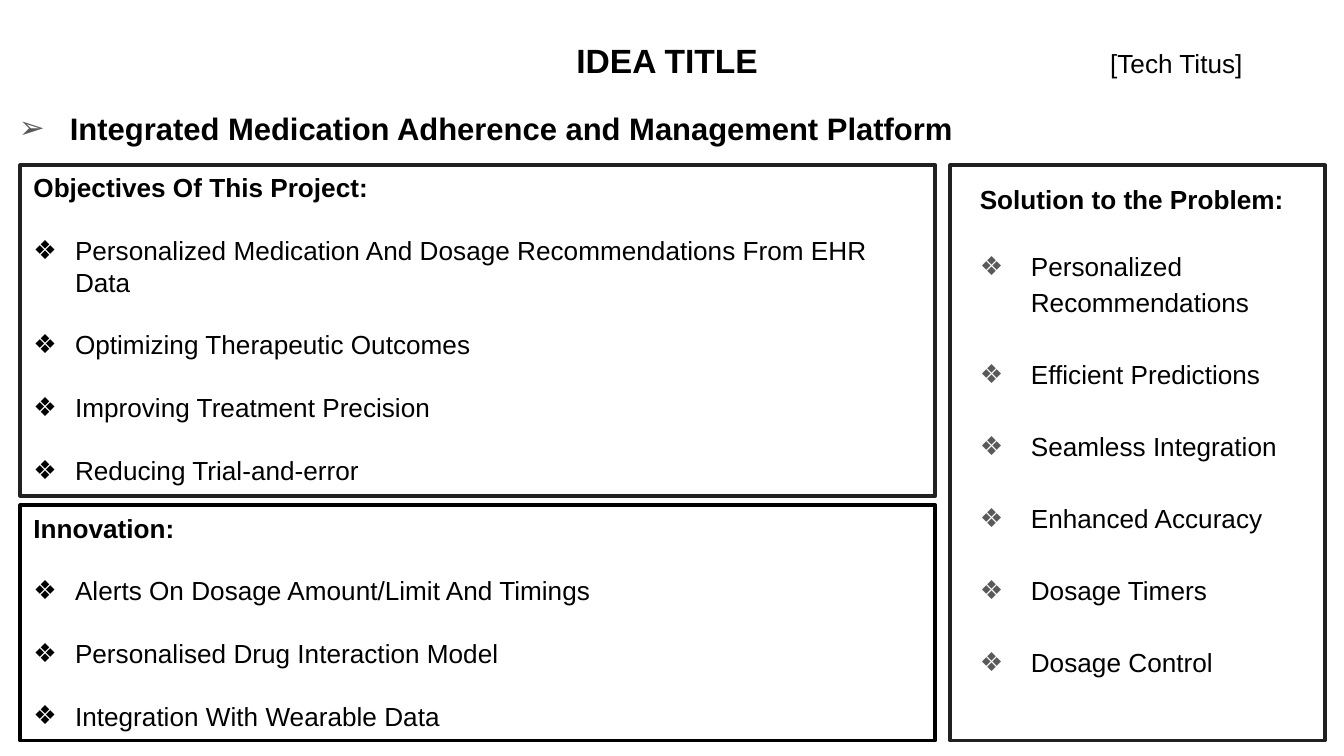
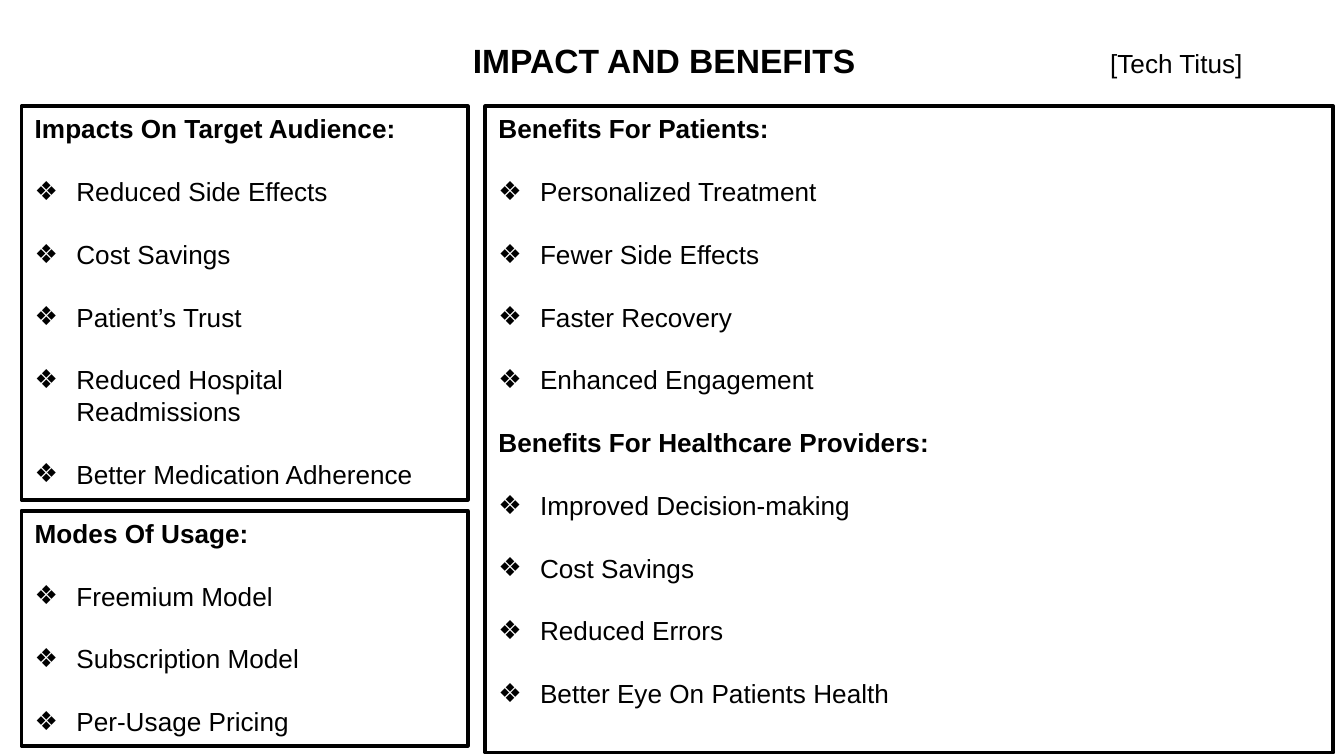
from dataclasses import dataclass

import lxml.etree
import pptx
import pptx.dml.color
import pptx.enum.shapes
import pptx.enum.text
import pptx.oxml.ns
import pptx.util

# Shared style
BLACK = pptx.dml.color.RGBColor(0x00, 0x00, 0x00)
WHITE = pptx.dml.color.RGBColor(0xFF, 0xFF, 0xFF)
CHARCOAL = pptx.dml.color.RGBColor(0x21, 0x21, 0x21)
GREY = pptx.dml.color.RGBColor(0x59, 0x59, 0x59)
FONT = "Arial"
TEXT_SIZE = 14
HEADING_SIZE = 18
TEAM = "[Tech Titus]"

# Grid: 100 columns by 56.25 rows of square cells
SLIDE_WIDTH = pptx.util.Inches(10)
SLIDE_HEIGHT = pptx.util.Inches(5.625)
CELL = SLIDE_WIDTH / 100

TWO_CONTENT, TITLE_ONLY = 3, 5


@dataclass(frozen=True)
class Area:
    """Position in grid columns and rows."""
    left: float
    top: float
    width: float
    height: float


@dataclass(frozen=True)
class ListStyle:
    """Paragraph layout of a list; indents in inches, gaps in points."""
    gap: float
    first_gap: float
    hang: float
    text_indent: float
    heading_indent: float
    line_spacing: float
    mark_color: pptx.dml.color.RGBColor
    mark: str = "❖"
    size: float = TEXT_SIZE


@dataclass(frozen=True)
class Group:
    heading: str
    points: tuple[str, ...]


@dataclass(frozen=True)
class Panel:
    area: Area
    groups: tuple[Group, ...]
    border: pptx.dml.color.RGBColor = BLACK


PANEL_LIST = ListStyle(16.8, 16.8, 0.31, 0.31, 0, 1.0, BLACK)
SOLUTION_LIST = ListStyle(19.3, 16.6, 0.38, 0.5, 0.12, 1.15, GREY)
PLATFORM_LIST = ListStyle(0, 0, 0.38, 0.5, 0, 1.05, GREY, "➢", 16.6)

TEAM_AREA = Area(81.6, 2.5, 15, 4.1)

# Content of the idea slide
PLATFORM = "Integrated Medication Adherence and Management Platform"
PLATFORM_AREA = Area(-0.8, 7, 93.2, 5)
IDEA_PANELS = (
    Panel(Area(1.5, 37.6, 68.1, 17.5), (
        Group("Innovation:", (
            "Alerts On Dosage Amount/Limit And Timings",
            "Personalised Drug Interaction Model",
            "Integration With Wearable Data",
        )),
    )),
    Panel(Area(1.5, 12.3, 68.1, 24.6), (
        Group("Objectives Of This Project:", (
            "Personalized Medication And Dosage Recommendations From EHR Data",
            "Optimizing Therapeutic Outcomes",
            "Improving Treatment Precision",
            "Reducing Trial-and-error",
        )),
    ), CHARCOAL),
)
SOLUTION = Panel(Area(70.7, 12.3, 27.9, 42.8), (
    Group("Solution to the Problem:", (
        "Personalized Recommendations",
        "Efficient Predictions",
        "Seamless Integration",
        "Enhanced Accuracy",
        "Dosage Timers",
        "Dosage Control",
    )),
), CHARCOAL)

# Content of the impact slide
IMPACT_PANELS = (
    Panel(Area(1.6, 7.9, 33.2, 29.3), (
        Group("Impacts On Target Audience:", (
            "Reduced Side Effects",
            "Cost Savings",
            "Patient’s Trust",
            "Reduced Hospital Readmissions",
            "Better Medication Adherence",
        )),
    )),
    Panel(Area(36.1, 7.9, 63.1, 48.1), (
        Group("Benefits For Patients:", (
            "Personalized Treatment",
            "Fewer Side Effects",
            "Faster Recovery",
            "Enhanced Engagement",
        )),
        Group("Benefits For Healthcare Providers:", (
            "Improved Decision-making",
            "Cost Savings",
            "Reduced Errors",
            "Better Eye On Patients Health",
        )),
    )),
    Panel(Area(1.6, 38, 33.2, 17.5), (
        Group("Modes Of Usage:", (
            "Freemium Model",
            "Subscription Model",
            "Per-Usage Pricing",
        )),
    )),
)


def box_of(area: Area) -> list[int]:
    return [round(n * CELL) for n in (area.left, area.top, area.width, area.height)]


def move(shape, area: Area) -> None:
    shape.left, shape.top, shape.width, shape.height = box_of(area)


def prepare_frame(shape, inset: float = 0.1):
    """Set the text frame to wrapped, top-anchored text."""
    frame = shape.text_frame
    frame.word_wrap = True
    frame.auto_size = pptx.enum.text.MSO_AUTO_SIZE.NONE
    frame.vertical_anchor = pptx.enum.text.MSO_ANCHOR.TOP
    frame.margin_left = frame.margin_right = pptx.util.Inches(0.1)
    frame.margin_top = frame.margin_bottom = pptx.util.Inches(inset)
    return frame


def add_text(paragraph, text: str, size: float, bold: bool = False) -> None:
    paragraph.alignment = pptx.enum.text.PP_ALIGN.LEFT
    run = paragraph.add_run()
    run.text = text
    run.font.name = FONT
    run.font.size = pptx.util.Pt(size)
    run.font.bold = bold
    run.font.color.rgb = BLACK


def format_paragraph(paragraph, style: ListStyle, gap: float, marked: bool) -> None:
    """Set spacing, indent and bullet."""
    paragraph.line_spacing = style.line_spacing
    paragraph.space_before = pptx.util.Pt(gap)
    paragraph.space_after = pptx.util.Pt(0)
    properties = paragraph._p.get_or_add_pPr()
    indent = style.text_indent if marked else style.heading_indent
    properties.set("marL", str(pptx.util.Inches(indent)))
    properties.set("indent", str(pptx.util.Inches(-style.hang if marked else 0)))
    qn = pptx.oxml.ns.qn
    if not marked:
        lxml.etree.SubElement(properties, qn("a:buNone"))
        return
    color = lxml.etree.SubElement(properties, qn("a:buClr"))
    lxml.etree.SubElement(color, qn("a:srgbClr"), val=str(style.mark_color))
    lxml.etree.SubElement(properties, qn("a:buFont"), typeface=FONT)
    lxml.etree.SubElement(properties, qn("a:buChar"), char=style.mark)


def write_groups(frame, groups: tuple[Group, ...], style: ListStyle) -> None:
    paragraph = frame.paragraphs[0]
    for g, group in enumerate(groups):
        if g:
            paragraph = frame.add_paragraph()
        format_paragraph(paragraph, style, style.gap if g else 0, False)
        add_text(paragraph, group.heading, style.size, True)
        for i, point in enumerate(group.points):
            paragraph = frame.add_paragraph()
            format_paragraph(paragraph, style, style.gap if i else style.first_gap, True)
            add_text(paragraph, point, style.size)


def set_border(shape, color: pptx.dml.color.RGBColor) -> None:
    shape.line.color.rgb = color
    shape.line.width = pptx.util.Pt(2)


def draw_panel(slide, panel: Panel) -> None:
    card = slide.shapes.add_shape(
        pptx.enum.shapes.MSO_SHAPE.RECTANGLE, *box_of(panel.area))
    card.shadow.inherit = False
    card.fill.solid()
    card.fill.fore_color.rgb = WHITE
    set_border(card, panel.border)
    write_groups(prepare_frame(card, 0.05), panel.groups, PANEL_LIST)


def start_slide(deck, layout: int, heading: str, heading_area: Area):
    """Add a slide with the team name and its centred heading."""
    slide = deck.slides.add_slide(deck.slide_layouts[layout])
    team = slide.shapes.title
    move(team, TEAM_AREA)
    add_text(prepare_frame(team).paragraphs[0], TEAM, TEXT_SIZE)
    caption = slide.shapes.add_textbox(*box_of(heading_area))
    add_text(prepare_frame(caption).paragraphs[0], heading, HEADING_SIZE, True)
    return slide


def build_idea(deck) -> None:
    slide = start_slide(deck, TWO_CONTENT, "IDEA TITLE", Area(41.9, 2, 16, 5))
    platform, solution = slide.placeholders[1], slide.placeholders[2]

    # Platform name
    move(platform, PLATFORM_AREA)
    line = prepare_frame(platform).paragraphs[0]
    format_paragraph(line, PLATFORM_LIST, 0, True)
    add_text(line, PLATFORM, PLATFORM_LIST.size, True)

    # Solution list
    move(solution, SOLUTION.area)
    set_border(solution, SOLUTION.border)
    write_groups(prepare_frame(solution), SOLUTION.groups, SOLUTION_LIST)

    for panel in IDEA_PANELS:
        draw_panel(slide, panel)


def build_impact(deck) -> None:
    slide = start_slide(deck, TITLE_ONLY, "IMPACT AND BENEFITS", Area(34.2, 2, 31.4, 5))
    for panel in IMPACT_PANELS:
        draw_panel(slide, panel)


def main() -> None:
    deck = pptx.Presentation()
    deck.slide_width, deck.slide_height = SLIDE_WIDTH, SLIDE_HEIGHT
    build_idea(deck)
    build_impact(deck)
    deck.save("out.pptx")


if __name__ == "__main__":
    main()
